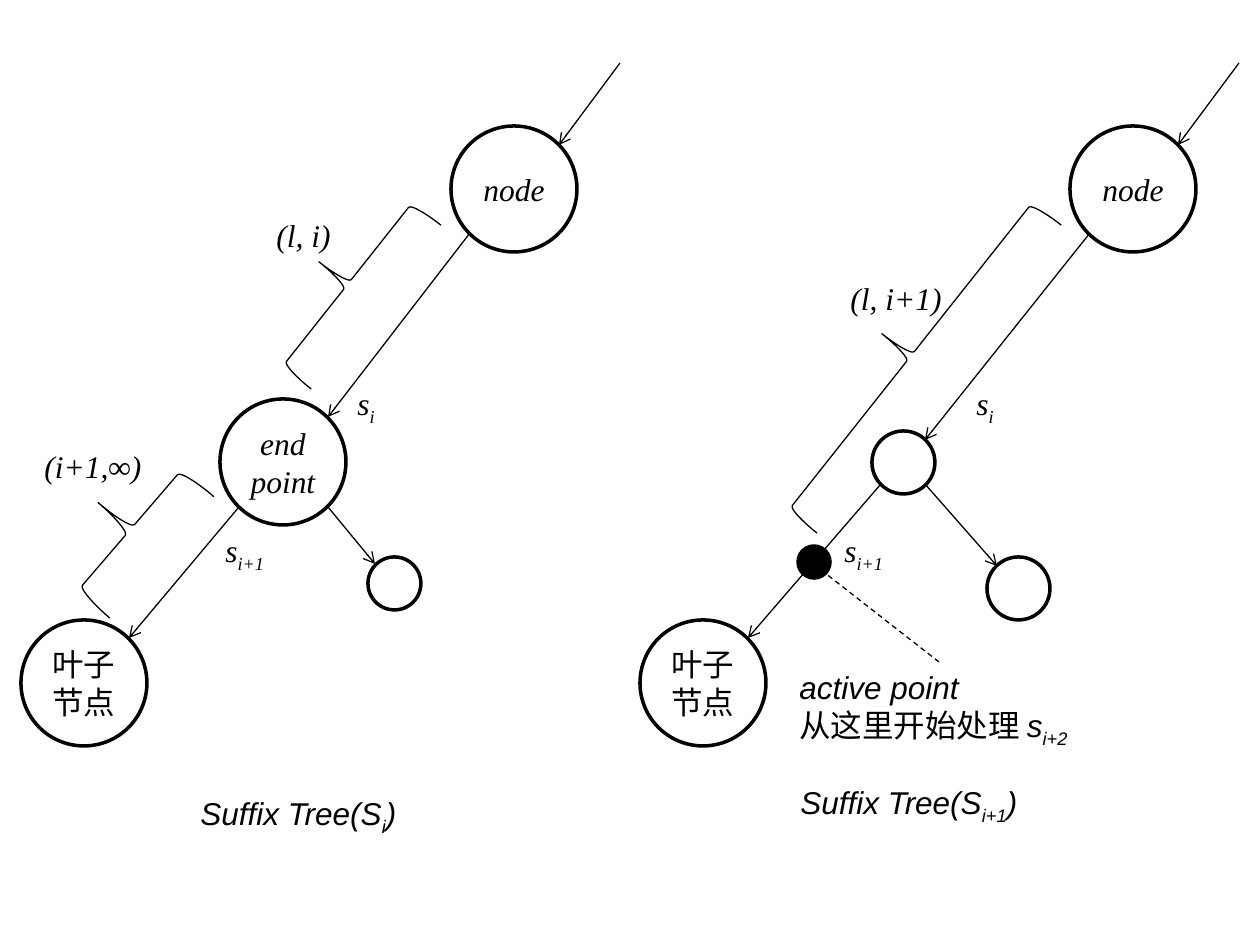
from dataclasses import dataclass

from lxml.etree import SubElement
from pptx import Presentation
from pptx.dml.color import RGBColor
from pptx.enum.dml import MSO_LINE
from pptx.enum.shapes import MSO_CONNECTOR, MSO_SHAPE
from pptx.enum.text import MSO_ANCHOR, MSO_AUTO_SIZE, PP_ALIGN
from pptx.oxml.ns import qn
from pptx.util import Emu, Pt


@dataclass(frozen=True)
class Theme:
    """Colours, fonts, type size and line widths of the slide."""
    ink: RGBColor = RGBColor(0, 0, 0)
    serif: str = "Times New Roman"
    sans: str = "Arial"
    text_size: Pt = Pt(18)
    subscript: str = "-25000"
    outline: Pt = Pt(2)
    thin: Pt = Pt(0.75)


THEME = Theme()
EMU_PER_PX = 914400 / 126
TREE_SHIFT = 619
NODE_SIZE = 126


def px(length):
    """Turn pixels into EMU."""
    return Emu(round(length * EMU_PER_PX))


def box(*lengths):
    """Turn left, top, width and height in pixels into EMU."""
    return [px(length) for length in lengths]


def draw_line(line, width):
    """Style a line in ink at the given width."""
    line.color.rgb = THEME.ink
    line.width = width


def add_run(paragraph, wording, font, italic=True, subscript=False):
    """Add one run of text to a paragraph."""
    run = paragraph.add_run()
    run.text = wording
    run.font.name = font
    run.font.size = THEME.text_size
    run.font.italic = italic
    run.font.color.rgb = THEME.ink
    if subscript:
        run.font._element.set("baseline", THEME.subscript)


def add_circle(slide, left, top, size, label="", italic=True, filled=False):
    """Add a tree node with an optional label inside."""
    circle = slide.shapes.add_shape(MSO_SHAPE.OVAL, *box(left, top, size, size))
    circle.shadow.inherit = False
    draw_line(circle.line, THEME.outline)
    if filled:
        circle.fill.solid()
        circle.fill.fore_color.rgb = THEME.ink
    else:
        circle.fill.background()
    if label:
        frame = circle.text_frame
        frame.word_wrap = True
        frame.vertical_anchor = MSO_ANCHOR.MIDDLE
        frame.margin_left = frame.margin_right = 0
        frame.margin_top = frame.margin_bottom = 0
        frame.paragraphs[0].alignment = PP_ALIGN.CENTER
        add_run(frame.paragraphs[0], label, THEME.serif, italic)


def add_edge(slide, start, end, dashed=False):
    """Add an arrow between two points, or a plain dashed pointer."""
    edge = slide.shapes.add_connector(MSO_CONNECTOR.STRAIGHT, *box(*start, *end))
    draw_line(edge.line, THEME.thin)
    if dashed:
        edge.line.dash_style = MSO_LINE.DASH
    else:
        SubElement(edge.line._get_or_add_ln(), qn("a:tailEnd"), type="arrow")
    SubElement(edge._element.spPr, qn("a:effectLst"))


def add_brace(slide, left, top, width, height, rotation):
    """Add a tilted brace that spans an edge."""
    brace = slide.shapes.add_shape(MSO_SHAPE.LEFT_BRACE, *box(left, top, width, height))
    brace.rotation = rotation
    brace.shadow.inherit = False
    brace.fill.background()
    draw_line(brace.line, THEME.thin)


def add_label(slide, place, *lines, font=THEME.serif):
    """Add unwrapped text, each line a list of wording and run options."""
    frame = slide.shapes.add_textbox(*box(*place)).text_frame
    frame.word_wrap = False
    frame.auto_size = MSO_AUTO_SIZE.SHAPE_TO_FIT_TEXT
    for index, runs in enumerate(lines):
        paragraph = frame.add_paragraph() if index else frame.paragraphs[0]
        for wording, options in runs:
            add_run(paragraph, wording, font, **options)


def plain(wording):
    """Describe a run on the baseline."""
    return wording, {}


def sub(wording):
    """Describe a subscript run."""
    return wording, {"subscript": True}


def add_shared_parts(slide, shift):
    """Add the parts that both trees have, moved right by the shift."""
    add_edge(slide, (620 + shift, 63), (559 + shift, 145))
    add_circle(slide, 451 + shift, 126, NODE_SIZE, "node")
    add_circle(slide, 21 + shift, 620, NODE_SIZE, "叶子节点", italic=False)
    add_label(slide, (345 + shift, 378, 43, 55), [plain("s"), sub("i")])
    add_label(slide, (213 + shift, 525, 64, 55), [plain("s"), sub("i+1")])


def add_tree_before(slide):
    """Add the suffix tree of the first i symbols."""
    add_shared_parts(slide, 0)
    add_circle(slide, 220, 399, NODE_SIZE, "end point")
    add_circle(slide, 368, 557, 53)
    add_edge(slide, (470, 233), (328, 417))
    add_edge(slide, (239, 507), (129, 638))
    add_edge(slide, (328, 507), (375, 564))
    add_brace(slide, 311, 180, 73, 209, 38.4)
    add_brace(slide, 88, 450, 84, 160, 40.7)
    add_label(slide, (264, 210, 82, 50), [plain("(l, i)")])
    add_label(slide, (32, 441, 122, 50), [plain("(i+1,∞)")])
    add_label(slide, (188, 788, 226, 55),
              [plain("Suffix Tree(S"), sub("i"), plain(")")], font=THEME.sans)


def add_tree_after(slide):
    """Add the suffix tree of i+1 symbols with its active point."""
    add_shared_parts(slide, TREE_SHIFT)
    add_circle(slide, 872, 431, 63)
    add_circle(slide, 987, 557, 63)
    add_edge(slide, (1090, 233), (925, 440))
    add_edge(slide, (881, 484), (748, 638))
    add_edge(slide, (925, 484), (997, 566))
    add_circle(slide, 798, 546, 32, filled=True)
    add_edge(slide, (939, 662), (825, 573), dashed=True)
    add_brace(slide, 874, 160, 73, 393, 38.4)
    add_label(slide, (838, 273, 121, 50), [plain("(l, i+1)")])
    add_label(slide, (787, 662, 304, 93),
              [plain("active point")],
              [("从这里开始处理 ", {"italic": False}), plain("s"), sub("i+2")],
              font=THEME.sans)
    add_label(slide, (788, 777, 247, 55),
              [plain("Suffix Tree(S"), sub("i+1"), plain(")")], font=THEME.sans)


def main():
    """Build the slide and save it."""
    deck = Presentation()
    deck.slide_width, deck.slide_height = px(1260), px(945)
    slide = deck.slides.add_slide(deck.slide_layouts[6])
    add_tree_before(slide)
    add_tree_after(slide)
    deck.save("out.pptx")


if __name__ == "__main__":
    main()
